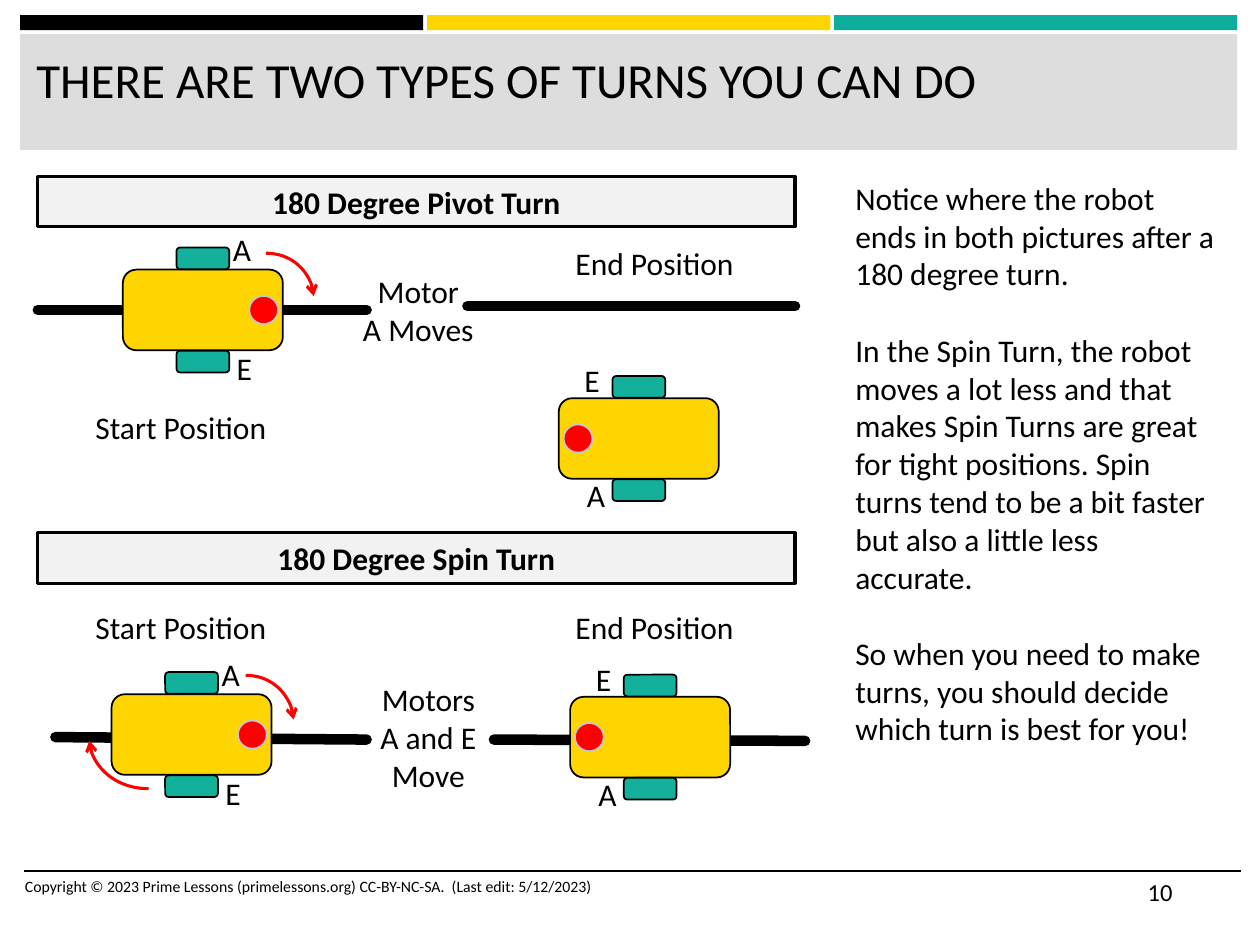
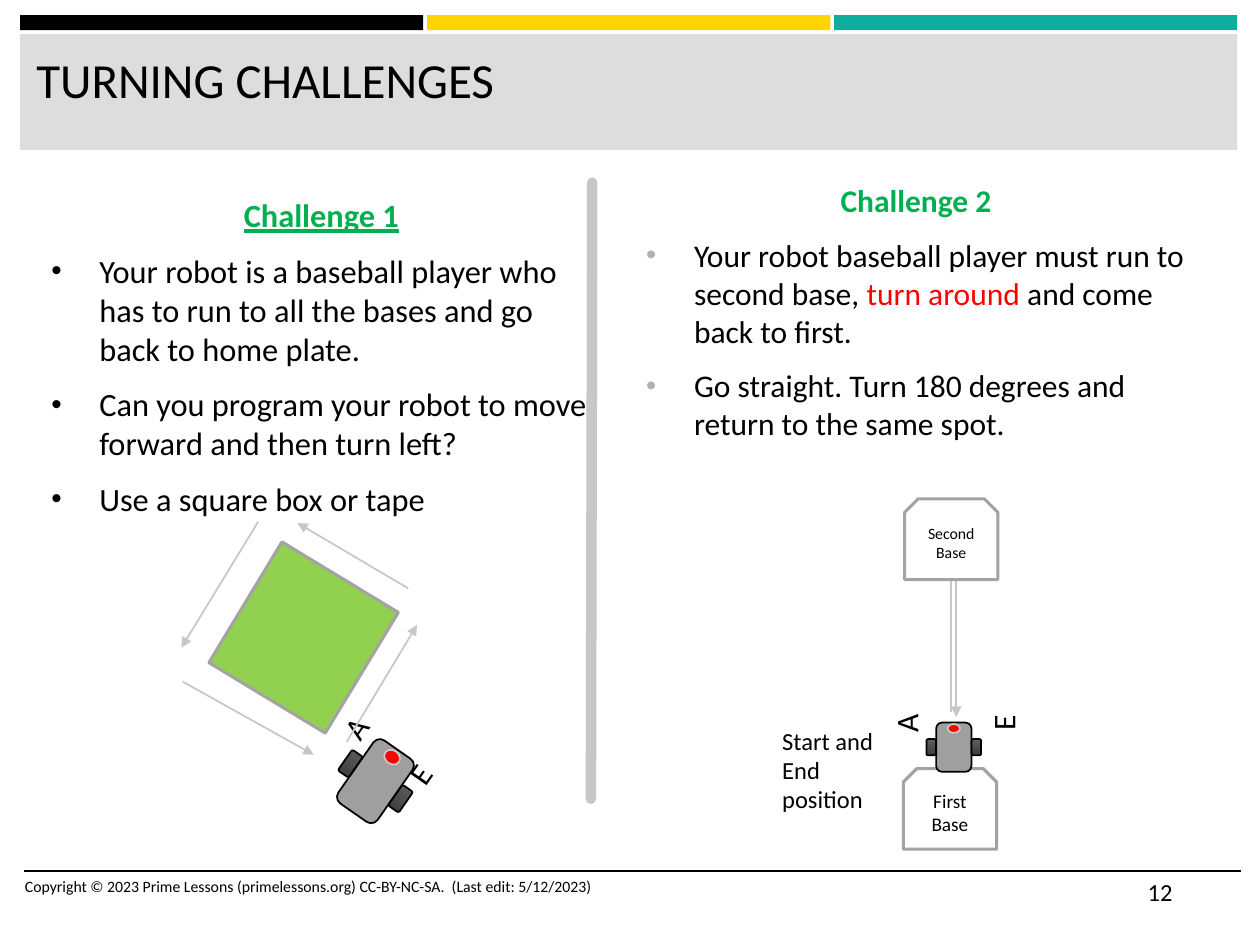
from math import cos, radians, sin

from lxml import etree
from pptx import Presentation
from pptx.dml.color import RGBColor
from pptx.enum.shapes import MSO_CONNECTOR as CONN, MSO_SHAPE as SHAPE
from pptx.enum.text import MSO_ANCHOR as ANCHOR, PP_ALIGN as ALIGN
from pptx.oxml.ns import qn
from pptx.util import Inches, Pt

BLACK = RGBColor(0x00, 0x00, 0x00)
WHITE = RGBColor(0xFF, 0xFF, 0xFF)
YELLOW = RGBColor(0xFF, 0xD5, 0x00)
TEAL = RGBColor(0x0E, 0xAE, 0x9F)
WHEEL_TEAL = RGBColor(0x13, 0xB0, 0x9B)
RED = RGBColor(0xFF, 0x00, 0x00)
GREEN = RGBColor(0x00, 0xB0, 0x50)
FIELD_GREEN = RGBColor(0x92, 0xD0, 0x50)
TITLE_GREY = RGBColor(0xDD, 0xDD, 0xDD)
BANNER_GREY = RGBColor(0xF2, 0xF2, 0xF2)
ROBOT_GREY = RGBColor(0x9F, 0x9F, 0x9F)
EDGE_GREY = RGBColor(0xA3, 0xA3, 0xA3)
LINE_GREY = RGBColor(0xC7, 0xC7, 0xC7)
BULLET_GREY = RGBColor(0xB2, 0xB2, 0xB2)
TYRE_GREYS = [RGBColor(0x5F, 0x5F, 0x5F), RGBColor(0x41, 0x41, 0x41)]

FONT = "Calibri"
COPYRIGHT = ("Copyright © 2023 Prime Lessons (primelessons.org) CC-BY-NC-SA. "
             " (Last edit: 5/12/2023)")


def add_bullet(p, color):
    """Hanging bullet; call after the paragraph spacing is set."""
    pPr = p._p.get_or_add_pPr()
    pPr.set("marL", str(Inches(0.38)))
    pPr.set("indent", str(-Inches(0.38)))
    clr = etree.SubElement(pPr, qn("a:buClr"))
    etree.SubElement(clr, qn("a:srgbClr")).set("val", str(color))
    etree.SubElement(pPr, qn("a:buSzPct")).set("val", "92000")
    etree.SubElement(pPr, qn("a:buFont")).set("typeface", "Arial")
    etree.SubElement(pPr, qn("a:buChar")).set("char", "•")


def write(tf, paras, size=18, color=BLACK, bold=False, align=ALIGN.LEFT,
          gap=0, heading=None, bullet=None):
    """Fill a text frame; a paragraph is a string or a list of (text, color).

    heading holds the font settings of a centred first paragraph.
    """
    tf.word_wrap = True
    for i, para in enumerate([paras] if isinstance(paras, str) else paras):
        p = tf.add_paragraph() if i else tf.paragraphs[0]
        is_heading = heading is not None and i == 0
        p.alignment = ALIGN.CENTER if is_heading else align
        if i and gap:
            p.space_before = Pt(gap)
        if bullet is not None and not is_heading:
            add_bullet(p, bullet)
        for text, run_color in [(para, color)] if isinstance(para, str) else para:
            r = p.add_run()
            r.text = text
            r.font.name, r.font.size = FONT, Pt(size)
            r.font.bold = bold
            r.font.color.rgb = run_color
            if is_heading:
                r.font.bold = True
                r.font.color.rgb = GREEN
                r.font.underline = heading.get("underline", False)


class Deck:
    def __init__(self):
        self.prs = Presentation()
        self.prs.slide_width, self.prs.slide_height = Inches(10), Inches(7.5)
        self.s = None

    def new_slide(self, title, number):
        self.s = self.prs.slides.add_slide(self.prs.slide_layouts[6])
        # Colour bands, title panel and footer
        for i, color in enumerate((BLACK, YELLOW, TEAL)):
            self.shape(SHAPE.RECTANGLE, 0.16 + i * 3.23, 0.12, 3.2, 0.12, color)
        self.shape(SHAPE.RECTANGLE, 0.16, 0.27, 9.66, 0.92, TITLE_GREY)
        self.line((0.19, 6.91), (9.85, 6.91), BLACK, 1)
        self.text(0.19, 0.34, 9.57, 0.82, title, size=28)
        self.text(0.1, 6.91, 5.33, 0.4, COPYRIGHT, size=9)
        self.text(9.01, 6.91, 0.84, 0.4, str(number), size=14)

    def shape(self, kind, x, y, w, h, fill, line=None, width=1, angle=0):
        """Preset shape; fill is a colour or a list of two gradient colours."""
        sp = self.s.shapes.add_shape(kind, Inches(x), Inches(y), Inches(w), Inches(h))
        sp.shadow.inherit = False
        sp.rotation = angle
        if isinstance(fill, list):
            sp.fill.gradient()
            sp.fill.gradient_angle = 270
            for stop, color, pos in zip(sp.fill.gradient_stops, fill, (0, 0.84)):
                stop.color.rgb, stop.position = color, pos
        else:
            sp.fill.solid()
            sp.fill.fore_color.rgb = fill
        if line is None:
            sp.line.fill.background()
        else:
            sp.line.color.rgb, sp.line.width = line, Pt(width)
        return sp

    def text(self, x, y, w, h, paras, angle=0, **fmt):
        sp = self.s.shapes.add_textbox(Inches(x), Inches(y), Inches(w), Inches(h))
        sp.rotation = angle
        write(sp.text_frame, paras, **fmt)

    def letter(self, cx, cy, char, angle):
        """A turned motor letter centred on a point."""
        self.text(cx - 0.2, cy - 0.2, 0.4, 0.4, char, angle=angle, align=ALIGN.CENTER)

    def label_box(self, kind, x, y, w, h, text, fill, line, **fmt):
        sp = self.shape(kind, x, y, w, h, fill, line, 1.75)
        sp.text_frame.vertical_anchor = ANCHOR.MIDDLE
        write(sp.text_frame, text, align=ALIGN.CENTER, **fmt)

    def line(self, start, end, color, width, head=None, cap=None, curved=False):
        kind = CONN.CURVE if curved else CONN.STRAIGHT
        c = self.s.shapes.add_connector(kind, *(Inches(v) for v in start + end))
        c.line.color.rgb, c.line.width = color, Pt(width)
        spPr = c._element.spPr
        if curved:
            spPr.find(qn("a:prstGeom")).set("prst", "curvedConnector2")
        ln = spPr.find(qn("a:ln"))
        if cap:
            ln.set("cap", cap)
        if head:
            etree.SubElement(ln, qn("a:tailEnd")).set("type", head)
        etree.SubElement(spPr, qn("a:effectLst"))

    def track(self, start, end, color=BLACK):
        self.line(start, end, color, 6, cap="rnd")

    def turn_arrow(self, start, end):
        self.line(start, end, RED, 1.75, head="arrow", curved=True)

    def path_arrow(self, start, end):
        self.line(start, end, LINE_GREY, 1, head="triangle")

    def robot(self, cx, cy, w, h, angle, body, wheel):
        """Body, two wheels and front dot; at angle 0 it faces up."""
        a = radians(angle)

        def part(kind, dx, dy, pw, ph, fill, line):
            x = cx + dx * cos(a) - dy * sin(a)
            y = cy + dx * sin(a) + dy * cos(a)
            self.shape(kind, x - pw / 2, y - ph / 2, pw, ph, fill, line, angle=angle)

        part(SHAPE.ROUNDED_RECTANGLE, 0, 0, w, h, body, BLACK)
        for side in (1, -1):
            part(SHAPE.ROUNDED_RECTANGLE, side * 0.64 * w, 0, 0.27 * w, 0.33 * h,
                 wheel, BLACK)
        part(SHAPE.OVAL, 0, -0.38 * h, 0.35 * w, 0.18 * h, RED, LINE_GREY)

    def turning_robot(self, cx, cy, faces_right):
        """Large robot with its motor letters."""
        self.robot(cx, cy, 0.64, 1.27, 90 if faces_right else 270, YELLOW, WHEEL_TEAL)
        if faces_right:
            letters = (("A", 0.14, -0.68), ("E", 0.17, 0.26))
        else:
            letters = (("A", -0.51, 0.25), ("E", -0.53, -0.66))
        for char, dx, dy in letters:
            self.text(cx + dx, cy + dy, 0.51, 0.4, char)


def build_turn_types(d):
    d.new_slide("THERE ARE TWO TYPES OF TURNS YOU CAN DO", 10)

    # Section banners
    for y, turn in ((1.4, "Pivot"), (4.23, "Spin")):
        d.label_box(SHAPE.RECTANGLE, 0.3, y, 6.01, 0.4, f"180 Degree {turn} Turn",
                    BANNER_GREY, BLACK, bold=True)

    # Tracks
    d.track((3.92, 5.87), (6.39, 5.88))
    d.track((0.44, 5.85), (2.91, 5.87))
    d.track((0.3, 2.46), (2.91, 2.46))
    d.track((3.71, 2.43), (6.31, 2.43))

    # Robots before and after each turn
    for cx, cy, faces_right in ((1.61, 2.46, True), (5.07, 3.48, False),
                                (1.52, 5.83, True), (5.16, 5.85, False)):
        d.turning_robot(cx, cy, faces_right)
    d.turn_arrow((2.11, 2.01), (2.49, 2.35))
    d.turn_arrow((1.95, 5.36), (2.33, 5.71))
    d.turn_arrow((1.18, 6.26), (0.71, 5.88))

    # Captions
    for x, y, caption in ((0.5, 3.19, "Start Position"), (4.26, 1.89, "End Position"),
                          (0.5, 4.78, "Start Position"), (4.26, 4.78, "End Position")):
        d.text(x, y, 1.87, 0.4, caption, align=ALIGN.CENTER)
    d.text(2.59, 2.11, 1.46, 0.71, ["Motor", "A Moves"], align=ALIGN.CENTER)
    d.text(2.67, 5.35, 1.46, 1.01, ["Motors", "A and E Move"], align=ALIGN.CENTER)

    # Explanation
    d.text(6.69, 1.37, 3.07, 4.95, [
        "Notice where the robot ends in both pictures after a 180 degree turn.",
        "In the Spin Turn, the robot moves a lot less and that makes Spin Turns are "
        "great for tight positions. Spin turns tend to be a bit faster but also a "
        "little less accurate.",
        "So when you need to make turns, you should decide which turn is best for you!",
    ], gap=22)


def build_challenges(d):
    d.new_slide("TURNING CHALLENGES", 12)

    # Challenge texts and divider
    d.text(0.31, 1.5, 4.48, 2.38, [
        "Challenge 1",
        "Your robot is a baseball player who has to run to all the bases and go back "
        "to home plate.",
        "Can you program your robot to move forward and then turn left?",
        "Use a square box or tape",
    ], size=18.5, gap=9.6, heading={"underline": True}, bullet=BLACK)
    d.text(5.03, 1.39, 4.48, 4.78, [
        "Challenge 2",
        [("Your robot baseball player must run to second base, ", BLACK),
         ("turn around", RED), (" and come back to first.", BLACK)],
        "Go straight. Turn 180 degrees and return to the same spot.",
    ], gap=9.6, heading={}, bullet=BULLET_GREY)
    d.track((4.69, 6.34), (4.7, 1.45), LINE_GREY)

    # Challenge 1: drive around the square
    d.shape(SHAPE.RECTANGLE, 1.85, 4.52, 1.12, 1.08, FIELD_GREEN, EDGE_GREY, 1.75,
            angle=301.2)
    d.robot(2.98, 6.2, 0.38, 0.61, 34.9, ROBOT_GREY, TYRE_GREYS)
    d.letter(2.82, 5.78, "A", 304.9)
    d.letter(3.33, 6.14, "E", 304.9)
    for start, end in (((2.05, 4.14), (1.44, 5.14)), ((3.24, 4.67), (2.36, 4.15)),
                       ((2.75, 5.89), (3.31, 4.96)), ((1.45, 5.41), (2.49, 5.99))):
        d.path_arrow(start, end)

    # Challenge 2: to second base and back
    d.path_arrow((7.55, 5.65), (7.55, 4.49))
    d.path_arrow((7.59, 4.6), (7.59, 5.69))
    for x, y, base, size in ((7.17, 6.1, "First Base", 11), (7.18, 3.96, "Second Base", 9)):
        d.label_box(SHAPE.SNIP_2_SAME_RECTANGLE, x, y, 0.74, 0.64, base, WHITE,
                    EDGE_GREY, size=size)
    d.robot(7.57, 5.93, 0.28, 0.39, 0, ROBOT_GREY, TYRE_GREYS)
    d.letter(7.19, 5.74, "A", 270)
    d.letter(7.96, 5.74, "E", 270)
    d.text(6.11, 5.71, 1.04, 0.81, "Start and End position", size=14)


def main():
    d = Deck()
    build_turn_types(d)
    build_challenges(d)
    d.prs.save("out.pptx")


if __name__ == "__main__":
    main()
